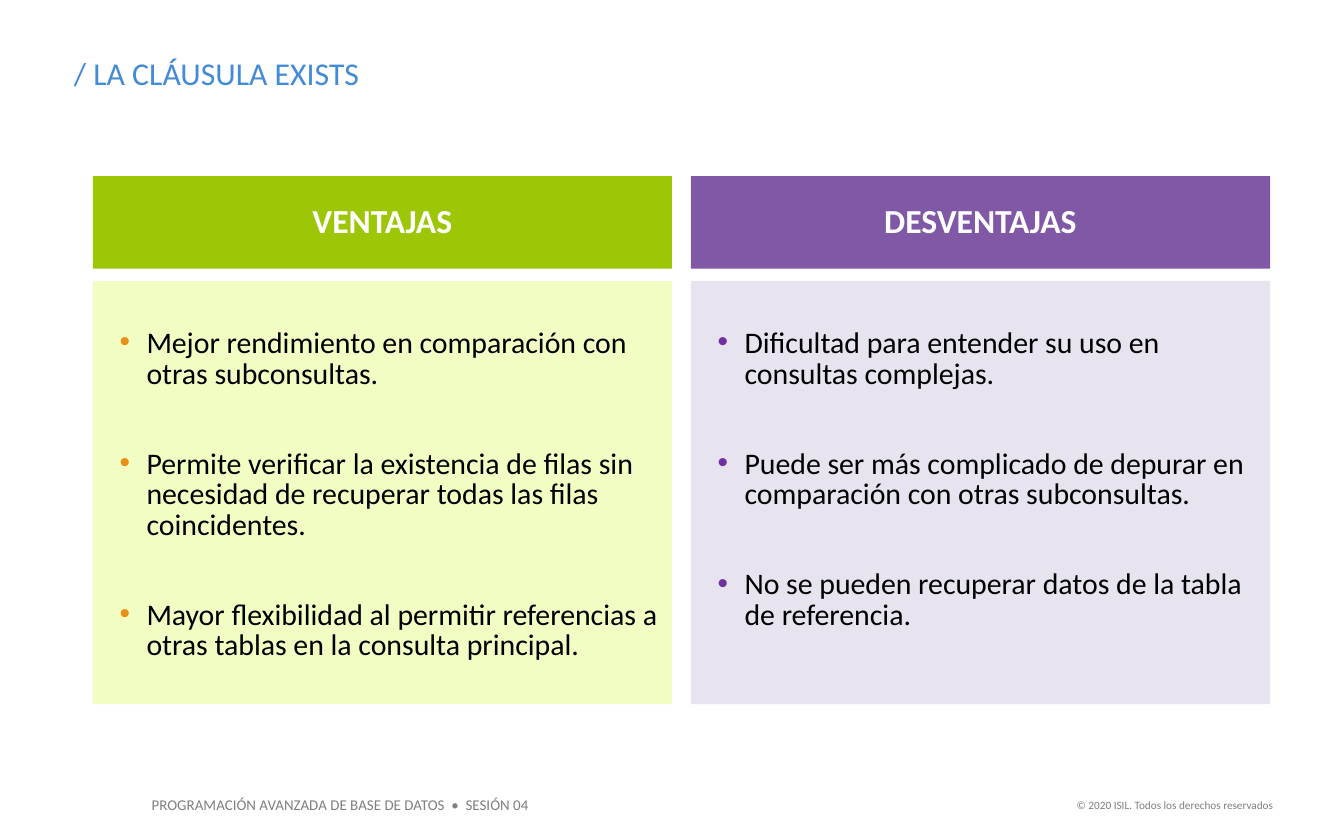
from lxml import etree
from pptx import Presentation
from pptx.dml.color import RGBColor
from pptx.enum.text import MSO_ANCHOR, MSO_AUTO_SIZE, PP_ALIGN
from pptx.oxml.ns import qn
from pptx.util import Inches, Pt

LEFT, MID, RIGHT = PP_ALIGN.LEFT, PP_ALIGN.CENTER, PP_ALIGN.RIGHT
TOP, CENTER = MSO_ANCHOR.TOP, MSO_ANCHOR.MIDDLE
FIXED = MSO_AUTO_SIZE.NONE

BLUE = RGBColor(0x43, 0x8A, 0xD7)
GRAY = RGBColor(0x7F, 0x7F, 0x7F)
WHITE = RGBColor(0xFF, 0xFF, 0xFF)
BLACK = RGBColor(0x00, 0x00, 0x00)
GREEN = RGBColor(0x9C, 0xC6, 0x06)
LIME = RGBColor(0xF1, 0xFD, 0xC3)
ORANGE = RGBColor(0xEA, 0x8F, 0x15)
PURPLE = RGBColor(0x80, 0x58, 0xA6)
LILAC = RGBColor(0xE7, 0xE4, 0xEF)
VIOLET = RGBColor(0x70, 0x30, 0xA0)


def write(shape, box, lines, font, para, anchor=TOP, inset=0.05):
    """Place a text shape and fill it with evenly formatted paragraphs."""
    shape.left, shape.top, shape.width, shape.height = map(Inches, box)
    frame = shape.text_frame
    frame.text = "\n".join(lines)
    frame.word_wrap = True
    frame.auto_size = FIXED
    frame.vertical_anchor = anchor
    frame.margin_top = Inches(inset)
    for item in frame.paragraphs:
        for name, value in para.items():
            setattr(item, name, value)
        face = item.runs[0].font
        face.color.rgb = font["color"]
        for name in ("name", "size", "bold"):
            setattr(face, name, font[name])
    frame.paragraphs[0].space_before = Pt(0)


def bullet(item, color):
    props = item._p.get_or_add_pPr()
    props.set("marL", str(Inches(0.3)))
    props.set("indent", str(Inches(-0.2)))
    tint = etree.SubElement(props, qn("a:buClr"))
    etree.SubElement(tint, qn("a:srgbClr"), val=str(color))
    etree.SubElement(props, qn("a:buFont"), typeface="Arial")
    etree.SubElement(props, qn("a:buChar"), char="•")


def_font = {"name": "Calibri", "bold": False}
deck = Presentation()
deck.slide_width, deck.slide_height = Inches(10), Inches(6.25)
slide = deck.slides.add_slide(deck.slide_layouts[4])
holders = slide.placeholders

write(slide.shapes.title, (0.45, 0.35, 7.88, 0.39), ["/ LA CLÁUSULA EXISTS"],
      {**def_font, "size": Pt(17), "color": BLUE}, {"alignment": LEFT})

columns = [
    ("VENTAJAS", GREEN, LIME, ORANGE, [
        "Mejor rendimiento en comparación con otras subconsultas.",
        "Permite verificar la existencia de filas sin necesidad de "
        "recuperar todas las filas coincidentes.",
        "Mayor flexibilidad al permitir referencias a otras tablas en la "
        "consulta principal.",
    ]),
    ("DESVENTAJAS", PURPLE, LILAC, VIOLET, [
        "Dificultad para entender su uso en consultas complejas.",
        "Puede ser más complicado de depurar en comparación con otras "
        "subconsultas.",
        "No se pueden recuperar datos de la tabla de referencia.",
    ]),
]
for col, (name, dark, light, dot, points) in enumerate(columns):
    left = 0.69 + col * 4.45
    head, body = holders[1 + 2 * col], holders[2 + 2 * col]
    for shape, color in ((head, dark), (body, light)):
        shape.fill.solid()
        shape.fill.fore_color.rgb = color
    write(head, (left, 1.31, 4.31, 0.69), [name],
          {"name": "Calibri", "bold": True, "size": Pt(18), "color": WHITE},
          {"alignment": MID, "line_spacing": 0.9}, CENTER)
    write(body, (left, 2.09, 4.31, 3.15), points,
          {**def_font, "size": Pt(16), "color": BLACK},
          {"alignment": LEFT, "line_spacing": 0.85, "space_before": Pt(32)},
          inset=0.36)
    for item in body.text_frame.paragraphs:
        bullet(item, dot)

footers = [
    ((1.03, 5.87, 3.03, 0.24), 8, LEFT,
     "PROGRAMACIÓN AVANZADA DE BASE DE DATOS  •  SESIÓN 04"),
    ((7.88, 5.89, 1.69, 0.2), 6, RIGHT,
     "© 2020 ISIL. Todos los derechos reservados"),
]
for box, size, align, text in footers:
    note = slide.shapes.add_textbox(*map(Inches, box))
    write(note, box, [text], {**def_font, "size": Pt(size), "color": GRAY},
          {"alignment": align})

deck.save("out.pptx")
